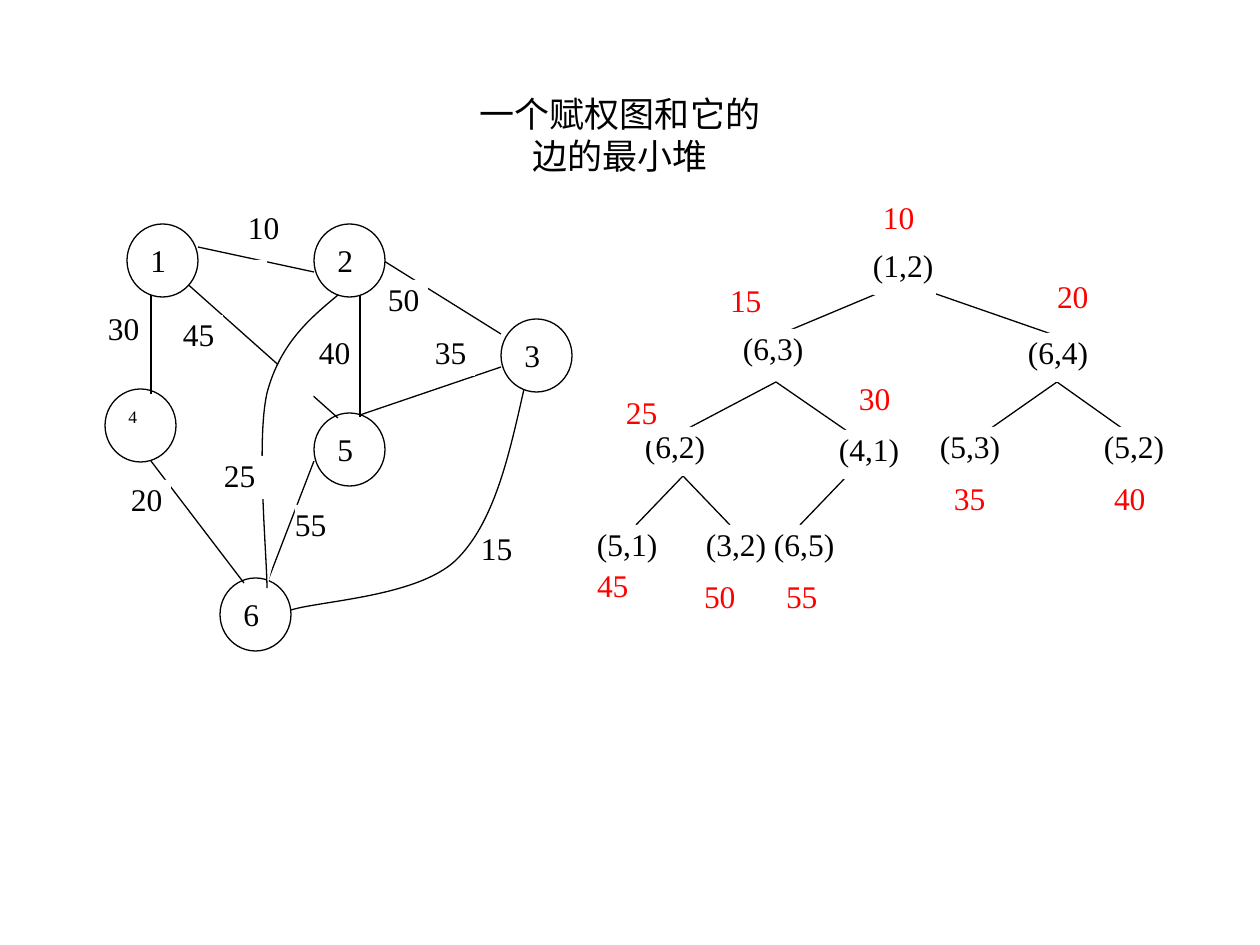
from dataclasses import dataclass

from lxml import etree
from pptx import Presentation
from pptx.dml.color import RGBColor
from pptx.enum import shapes, text
from pptx.oxml import ns
from pptx.util import Pt

PX = 914400 / 126


@dataclass(frozen=True)
class Theme:
    ink: RGBColor = RGBColor(0, 0, 0)
    paper: RGBColor = RGBColor(255, 255, 255)
    red: RGBColor = RGBColor(255, 0, 0)
    font: str = "Times New Roman"
    title: int = 20
    body: int = 18
    small: int = 10
    line: float = 0.75


THEME = Theme()

LOW_NODES = [("5", 314, 413), ("4", 105, 389), ("6", 220, 578), ("3", 501, 319)]
TOP_NODES = [("1", 127, 224), ("2", 314, 224)]
LOW_EDGES = [
    (151, 272, 151, 394), (198, 247, 314, 272), (174, 272, 338, 418),
    (501, 367, 360, 415), (314, 461, 267, 583),
]
MID_EDGES = [(384, 261, 501, 334), (151, 461, 244, 583)]
TOP_EDGES = [(360, 295, 360, 417)]
ARC_36 = [(524, 389), (509, 456), (494, 524), (455, 561), (416, 597), (319, 601), (291, 610)]
ARC_26 = [(338, 295), (309, 319), (280, 344), (267, 393), (256, 442), (267, 556), (267, 588)]
WEIGHTS = [
    ("10", 248, 208), ("20", 131, 480), ("30", 108, 309), ("40", 319, 333),
    ("50", 388, 280), ("25", 224, 456), ("35", 435, 333), ("55", 295, 505),
    ("45", 183, 315), ("15", 481, 529),
]
GAPS = [(248, 260, 19), (459, 480, 23), (178, 529, 24), (422, 398, 19), (237, 382, 19)]
BRANCHES = [
    (893, 287, 776, 336), (776, 382, 683, 431), (683, 476, 636, 525),
    (683, 476, 730, 525), (776, 382, 847, 431), (916, 287, 1057, 336),
    (1057, 382, 987, 431), (1057, 382, 1126, 431), (847, 476, 800, 525),
]
PAIRS = [
    ("(1,2)", 873, 246), ("(6,3)", 743, 329), ("(6,4)", 1028, 333),
    ("(6,2)", 645, 427), ("(4,1)", 839, 430), ("(5,3)", 940, 427),
    ("(5,2)", 1104, 427), ("(3,2)", 706, 525), ("(5,1)", 597, 525),
    ("(6,5)", 774, 525),
]
KEYS = [
    ("10", 883, 198), ("15", 730, 281), ("20", 1057, 277), ("25", 626, 393),
    ("30", 859, 379), ("35", 954, 479), ("40", 1114, 479), ("50", 704, 577),
    ("55", 786, 577), ("45", 597, 566),
]


def emu(*px):
    return [round(n * PX) for n in px]


def paint(shape, lined):
    shape.shadow.inherit = False
    shape.fill.solid()
    shape.fill.fore_color.rgb = THEME.paper
    if lined:
        shape.line.color.rgb = THEME.ink
        shape.line.width = Pt(THEME.line)
    else:
        shape.line.fill.background()


def write(shape, lines, size, color, align, pad):
    frame = shape.text_frame
    frame.word_wrap = True
    frame.vertical_anchor = text.MSO_ANCHOR.TOP
    frame.margin_left, frame.margin_top = emu(*pad)
    frame.margin_right, frame.margin_bottom = emu(*pad)
    for i, words in enumerate(lines):
        para = frame.paragraphs[0] if i == 0 else frame.add_paragraph()
        para.alignment = align
        run = para.add_run()
        run.text = words
        run.font.name = THEME.font
        run.font.size = Pt(size)
        run.font.color.rgb = color


def box(slide, place, lines=(), size=THEME.body, color=THEME.ink,
        align=text.PP_ALIGN.JUSTIFY, pad=(0, 0)):
    shape = slide.shapes.add_shape(shapes.MSO_SHAPE.RECTANGLE, *emu(*place))
    paint(shape, False)
    write(shape, lines, size, color, align, pad)


def node(slide, name, x, y):
    shape = slide.shapes.add_shape(shapes.MSO_SHAPE.OVAL, *emu(x, y, 71, 73))
    paint(shape, True)
    size = THEME.small if name == "4" else THEME.body
    write(shape, [name], size, THEME.ink, text.PP_ALIGN.JUSTIFY, (13, 6))


def edge(slide, ends):
    line = slide.shapes.add_connector(shapes.MSO_CONNECTOR.STRAIGHT, *emu(*ends))
    line.line.color.rgb = THEME.ink
    line.line.width = Pt(THEME.line)
    props = line._element.find(ns.qn("p:spPr"))
    etree.SubElement(props, ns.qn("a:effectLst"))


def arc(slide, points):
    build = slide.shapes.build_freeform(*points[0], scale=PX)
    build.add_line_segments(points[1:], close=False)
    shape = build.convert_to_shape()
    paint(shape, True)
    track = next(shape._element.iter(ns.qn("a:path")))
    steps = track.findall(ns.qn("a:lnTo"))
    for i in range(0, len(steps), 3):
        curve = etree.SubElement(track, ns.qn("a:cubicBezTo"))
        for step in steps[i:i + 3]:
            curve.append(step[0])
            track.remove(step)


def graph(slide):
    for item in LOW_NODES:
        node(slide, *item)
    for ends in LOW_EDGES:
        edge(slide, ends)
    arc(slide, ARC_36)
    for ends in MID_EDGES:
        edge(slide, ends)
    arc(slide, ARC_26)
    for ends in TOP_EDGES:
        edge(slide, ends)
    for item in TOP_NODES:
        node(slide, *item)
    for label, x, y in WEIGHTS:
        box(slide, (x, y, 40, 43), [label])
    for x, y, wide in GAPS:
        box(slide, (x, y, wide, 43))


def heap(slide):
    for ends in BRANCHES:
        edge(slide, ends)
    for label, x, y in PAIRS:
        box(slide, (x, y, 63, 49), [label])
    for label, x, y in KEYS:
        box(slide, (x, y, 33, 48), [label], color=THEME.red)


def main():
    deck = Presentation()
    deck.slide_width, deck.slide_height = emu(1260, 945)
    slide = deck.slides.add_slide(deck.slide_layouts[6])
    graph(slide)
    box(slide, (457, 86, 326, 122), ["一个赋权图和它的", "边的最小堆"],
        size=THEME.title, align=text.PP_ALIGN.CENTER, pad=(13, 6))
    heap(slide)
    deck.save("out.pptx")


if __name__ == "__main__":
    main()
